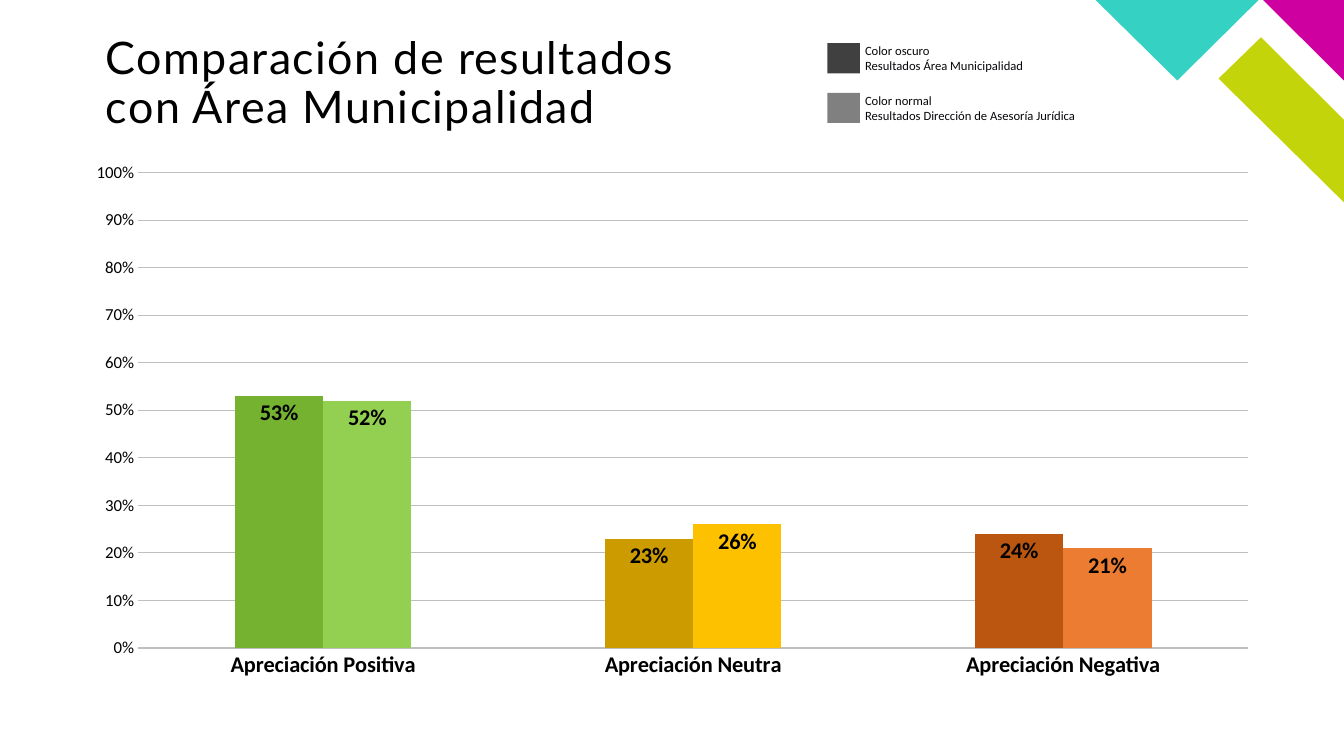
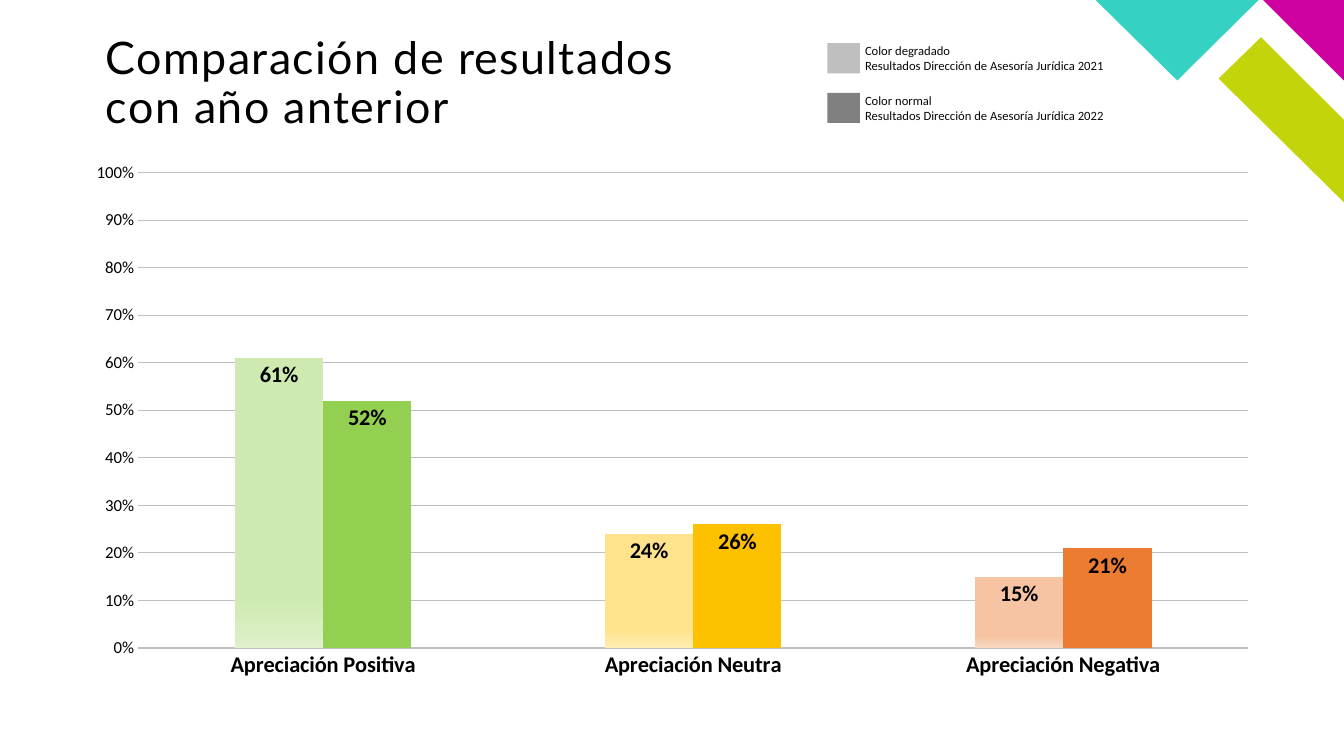
from pptx import Presentation
from pptx.chart.data import CategoryChartData
from pptx.dml.color import RGBColor
from pptx.enum.chart import XL_CHART_TYPE as ChartType, XL_LABEL_POSITION as LabelPosition, XL_TICK_MARK as TickMark
from pptx.enum.shapes import MSO_SHAPE as Shape
from pptx.enum.text import MSO_ANCHOR as Anchor, MSO_AUTO_SIZE as AutoSize
from pptx.oxml import parse_xml
from pptx.oxml.ns import nsdecls
from pptx.util import Cm, Pt


class Theme:
    black = RGBColor.from_string("000000")
    legend_ink = RGBColor.from_string("07080B")
    grid = RGBColor.from_string("BFBFBF")
    lime, magenta, teal = "C4D40A", "CE009F", "35D2C4"
    dark_gray, mid_gray, light_gray = "404040", "808080", "BFBFBF"
    normal = ["93D051", "FEC100", "EC7C31"]
    dark = ["74B230", "CC9B00", "BB5611"]
    faded = [("CEEAB1", "DFF1CB"), ("FFE38C", "FFEDB2"), ("F6C4A2", "F9D8C1")]
    title = {"name": "Lato", "size": Pt(32)}
    legend = {"name": "Calibri", "size": Pt(9)}
    chart = {"name": "Calibri", "size": Pt(10)}
    scale = {"name": "Calibri", "size": Pt(12), "bold": False}
    strong = {"name": "Calibri", "size": Pt(16), "bold": True}


def set_font(font, style, color=Theme.black):
    for name, value in style.items():
        setattr(font, name, value)
    font.color.rgb = color


def add_text(slide, box, lines, style, color=Theme.black, **frame_format):
    frame = slide.shapes.add_textbox(*map(Cm, box)).text_frame
    for name, value in {"word_wrap": True, "vertical_anchor": Anchor.TOP, **frame_format}.items():
        setattr(frame, name, value)
    frame.text = "\n".join(lines)
    for paragraph in frame.paragraphs:
        set_font(paragraph.runs[0].font, style, color)
    return frame


WIDTH, HEIGHT = 33.87, 19.05
CORNER = [
    (Theme.lime, [(WIDTH, 5.1), (WIDTH, 3.02), (31.78, 0.94), (30.71, 1.98)]),
    (Theme.magenta, [(WIDTH, 2.03), (WIDTH, 0), (31.83, 0)]),
    (Theme.teal, [(27.61, 0), (29.67, 2.03), (31.72, 0)]),
]
CATEGORIES = ["Apreciación Positiva", "Apreciación Neutra", "Apreciación Negativa"]
RESULTS = [0.52, 0.26, 0.21]
PLOT_AREA = {"x": 0.05, "y": 0.04, "w": 0.93, "h": 0.88}
PLOT_AREA = {"x": 0.0546, "y": 0.0394, "w": 0.9255, "h": 0.884}
SLIDES = [
    {
        "title": "Comparación de resultados con Área Municipalidad",
        "values": [0.53, 0.23, 0.24],
        "colors": Theme.dark,
        "legend": [
            (Theme.dark_gray, ["Color oscuro", "Resultados Área Municipalidad"]),
            (Theme.mid_gray, ["Color normal", "Resultados Dirección de Asesoría Jurídica"]),
        ],
    },
    {
        "title": "Comparación de resultados con año anterior",
        "values": [0.61, 0.24, 0.15],
        "colors": Theme.faded,
        "legend": [
            (Theme.light_gray, ["Color degradado", "Resultados Dirección de Asesoría Jurídica 2021"]),
            (Theme.mid_gray, ["Color normal", "Resultados Dirección de Asesoría Jurídica 2022"]),
        ],
    },
]

presentation = Presentation()
presentation.slide_width, presentation.slide_height = Cm(WIDTH), Cm(HEIGHT)

for content in SLIDES:
    slide = presentation.slides.add_slide(presentation.slide_layouts[6])

    for color, points in CORNER:
        corners = [(Cm(x), Cm(y)) for x, y in points]
        builder = slide.shapes.build_freeform(*corners[0])
        builder.add_line_segments(corners[1:], close=True)
        shape = builder.convert_to_shape()
        shape.shadow.inherit = False
        shape.fill.solid()
        shape.fill.fore_color.rgb = RGBColor.from_string(color)
        shape.line.fill.background()

    margins = dict.fromkeys(["margin_left", "margin_top", "margin_right", "margin_bottom"], 0)
    title = add_text(slide, (2.67, 0.91, 15.04, 2.9), [content["title"]], Theme.title, **margins)
    title.paragraphs[0].line_spacing = 0.9
    title.paragraphs[0].runs[0]._r.get_or_add_rPr().set("spc", "100")

    data = CategoryChartData(number_format="0%")
    data.categories = CATEGORIES
    data.add_series("Series 1", content["values"])
    data.add_series("Series 2", RESULTS)
    box = map(Cm, (1.83, 3.81, 30.23, 13.56))
    chart = slide.shapes.add_chart(ChartType.COLUMN_CLUSTERED, *box, data).chart
    chart.has_legend = False
    chart.has_title = False
    set_font(chart.font, Theme.chart)

    plot_area = chart._chartSpace.chart.plotArea
    for layout in plot_area.findall("c:layout", plot_area.nsmap):
        plot_area.remove(layout)
    modes = '<c:layoutTarget val="inner"/><c:xMode val="edge"/><c:yMode val="edge"/>'
    extents = "".join(f'<c:{name} val="{value}"/>' for name, value in PLOT_AREA.items())
    plot_area.insert(0, parse_xml(
        f'<c:layout {nsdecls("c")}><c:manualLayout>{modes}{extents}</c:manualLayout></c:layout>'))

    for axis, style in ((chart.category_axis, Theme.strong), (chart.value_axis, Theme.scale)):
        axis.major_tick_mark = axis.minor_tick_mark = TickMark.NONE
        set_font(axis.tick_labels.font, style)
    chart.category_axis.format.line.color.rgb = Theme.grid
    chart.category_axis.format.line.width = Pt(0.75)
    value_axis = chart.value_axis
    for name, value in {"minimum_scale": 0, "maximum_scale": 1, "major_unit": 0.1}.items():
        setattr(value_axis, name, value)
    value_axis.format.line.fill.background()
    value_axis.major_gridlines.format.line.color.rgb = Theme.grid
    value_axis.major_gridlines.format.line.width = Pt(0.5)
    value_axis.tick_labels.number_format = "0%"
    value_axis.tick_labels.number_format_is_linked = False

    plot = chart.plots[0]
    for name, value in {"gap_width": 219, "overlap": 0, "vary_by_categories": False}.items():
        setattr(plot, name, value)
    for series, colors in zip(plot.series, (content["colors"], Theme.normal)):
        series.invert_if_negative = False
        label_format = {
            "show_value": True,
            "position": LabelPosition.INSIDE_END,
            "number_format": "0%",
            "number_format_is_linked": False,
        }
        for name, value in label_format.items():
            setattr(series.data_labels, name, value)
        set_font(series.data_labels.font, Theme.strong)
        for index, color in enumerate(colors):
            fill = series.points[index].format.fill
            if isinstance(color, tuple):
                fill.gradient()
                fill.gradient_angle = 270
                for stop, stop_color, position in zip(fill.gradient_stops, color, (0.83, 1)):
                    stop.color.rgb = RGBColor.from_string(stop_color)
                    stop.position = position
            else:
                fill.solid()
                fill.fore_color.rgb = RGBColor.from_string(color)

    for row, (color, lines) in enumerate(content["legend"]):
        offset = row * 1.25
        swatch = slide.shapes.add_shape(Shape.RECTANGLE, *map(Cm, (20.85, 1.09 + offset, 0.82, 0.76)))
        swatch.shadow.inherit = False
        swatch.fill.solid()
        swatch.fill.fore_color.rgb = RGBColor.from_string(color)
        swatch.line.fill.background()
        add_text(slide, (21.55, 0.96 + offset, 8.1, 1.02), lines, Theme.legend, Theme.legend_ink,
                 auto_size=AutoSize.SHAPE_TO_FIT_TEXT)

presentation.save("out.pptx")
